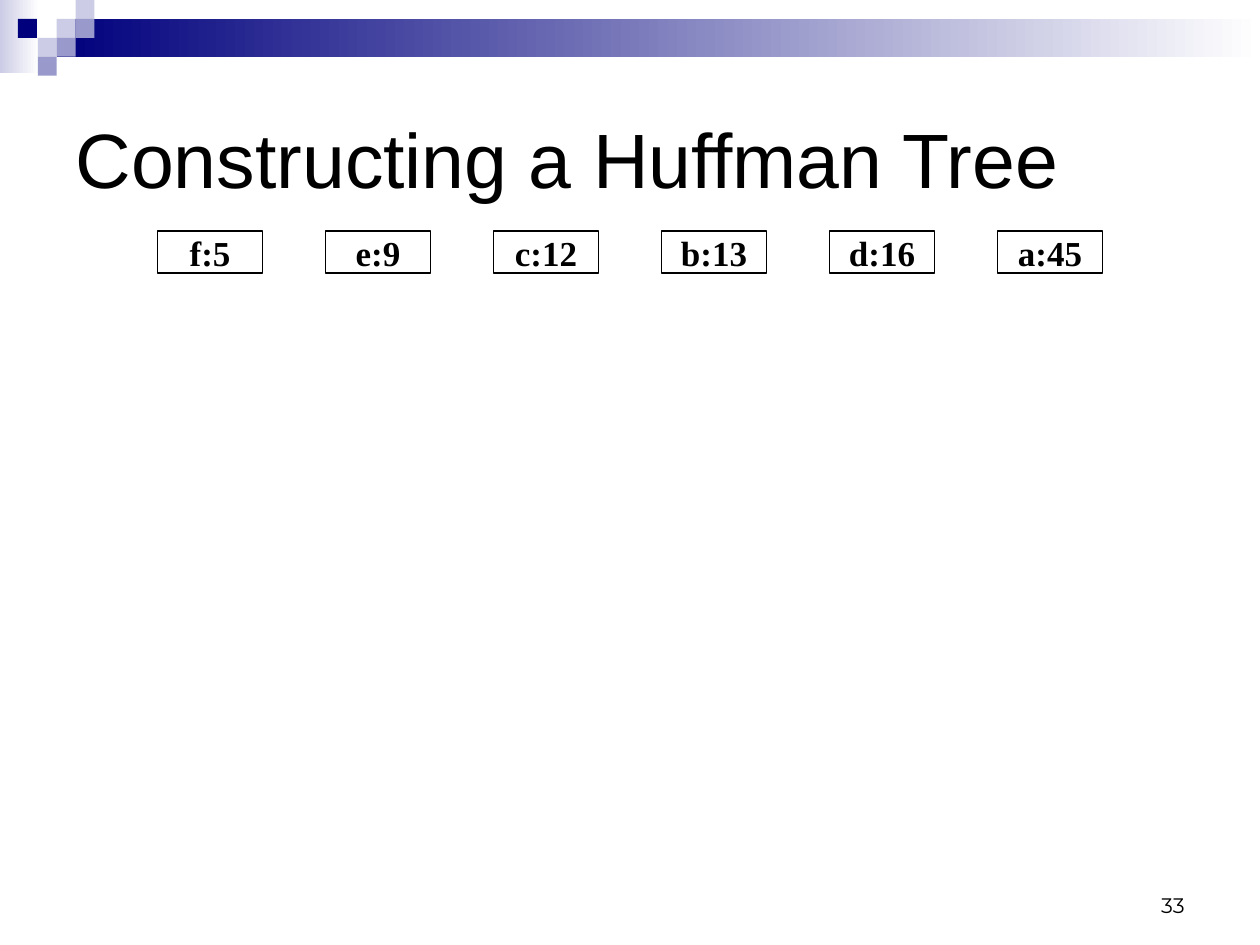
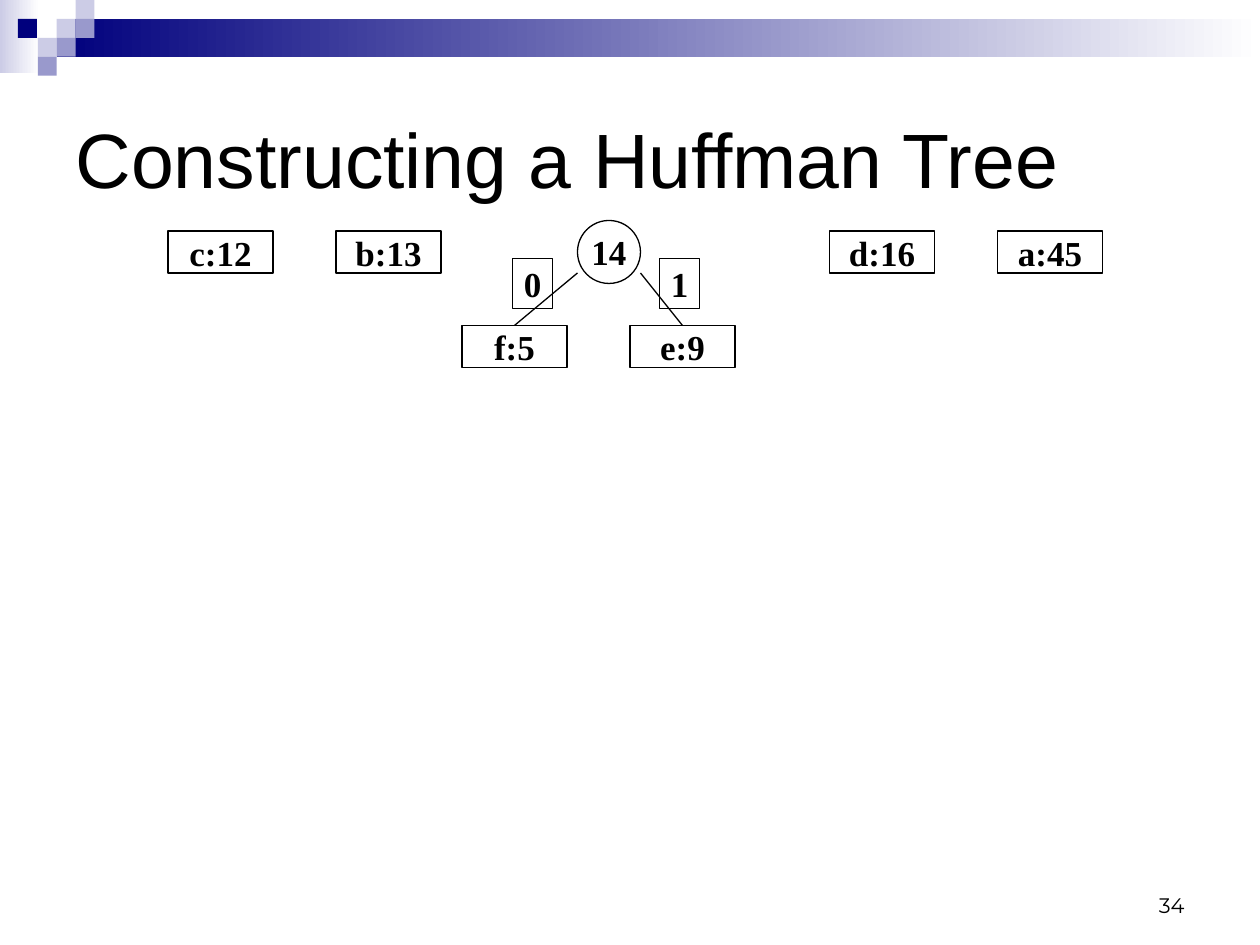
"""Builds two slides that show the first step of constructing a Huffman tree."""
from typing import NamedTuple

from lxml import etree
from pptx import Presentation
from pptx import util as u
from pptx.dml.color import RGBColor
from pptx.enum import shapes, text
from pptx.oxml.ns import qn

WIDTH, HEIGHT = u.Inches(10), u.Inches(7.5)
GRID = WIDTH / 120
BAND = u.Inches(0.15)
RECT, OVAL = shapes.MSO_SHAPE.RECTANGLE, shapes.MSO_SHAPE.OVAL
BLACK, WHITE, NAVY, LILAC, VIOLET = "000000", "FFFFFF", "00007D", "CCCCE6", "9999CC"
TITLE = "Constructing a Huffman Tree"
LEAF_TOP, CHILD_TOP = 22, 31


class Tile(NamedTuple):
    """A band rectangle in band units, plain or fading to white."""
    col: float
    row: float
    cols: float
    rows: float
    color: str
    fades: bool = False


class Node(NamedTuple):
    """A labelled outline placed in grid units."""
    label: str
    col: float
    row: float = LEAF_TOP
    cols: float = 10
    rows: float = 4
    kind: shapes.MSO_SHAPE = RECT


class Edge(NamedTuple):
    """A line from a child up to its parent, in grid units."""
    col: float
    row: float
    end_col: float
    end_row: float


class Page(NamedTuple):
    """The contents of one slide."""
    number: int
    leaves: list[Node]
    tree: list[Node]
    edges: list[Edge]


TILES = [
    Tile(0, 0, 2.07, 3.87, LILAC, True),
    Tile(3, 1, 63.67, 2, NAVY, True),
    Tile(3, 1, 1, 1, LILAC),
    Tile(4, 0, 1, 1, LILAC),
    Tile(4, 1, 1, 1, VIOLET),
    Tile(2, 2, 1, 1, LILAC),
    Tile(0.95, 1, 1, 1, NAVY),
    Tile(3, 2, 1, 1, VIOLET),
    Tile(2, 3, 1, 1, VIOLET),
]


def leaf_row(labels: list[str], col: float, row: float = LEAF_TOP) -> list[Node]:
    """Spaces leaves evenly from a first column."""
    return [Node(label, col + 16 * i, row) for i, label in enumerate(labels)]


PAGES = [
    Page(33, leaf_row(["f:5", "e:9", "c:12", "b:13", "d:16", "a:45"], 15), [], []),
    Page(
        34,
        leaf_row(["c:12", "b:13"], 16) + leaf_row(["d:16", "a:45"], 79),
        leaf_row(["f:5", "e:9"], 44, CHILD_TOP) + [
            Node("14", 55, 21, 6, 6, OVAL),
            Node("0", 48.8, 24.6, 3.84, 4.8),
            Node("1", 62.8, 24.6, 3.84, 4.8),
        ],
        [Edge(49, CHILD_TOP, 55, 26), Edge(65, CHILD_TOP, 61, 26)],
    ),
]


def rgb(color: str) -> RGBColor:
    """Turns a hex string into a colour."""
    return RGBColor.from_string(color)


def scaled(unit: float, *lengths: float) -> list[int]:
    """Turns grid lengths into slide lengths."""
    return [round(unit * length) for length in lengths]


def format_text(tf, size: float, font: str, align, bold: bool = False) -> None:
    """Aligns the first paragraph and sets the font of its runs."""
    p = tf.paragraphs[0]
    p.alignment = align
    for r in p.runs:
        r.font.size, r.font.name, r.font.bold = u.Pt(size), font, bold
        r.font.color.rgb = rgb(BLACK)


def add_tile(slide, tile: Tile):
    """Draws one rectangle of the top band."""
    sp = slide.shapes.add_shape(RECT, *scaled(BAND, *tile[:4]))
    sp.shadow.inherit = False
    sp.line.fill.background()
    if tile.fades:
        sp.fill.gradient()
        sp.fill.gradient_angle = 0
        for stop, color in zip(sp.fill.gradient_stops, (tile.color, WHITE)):
            stop.color.rgb = rgb(color)
    else:
        sp.fill.solid()
        sp.fill.fore_color.rgb = rgb(tile.color)
    return sp


def move_to_master(prs, drawn: list) -> None:
    """Places shapes behind everything else on the slide master."""
    tree = prs.slide_master.shapes.element
    for i, sp in enumerate(drawn):
        tree.insert(2 + i, sp.element)


def draw_outline(sp) -> None:
    """Gives a shape or line the thin black stroke."""
    sp.line.color.rgb = rgb(BLACK)
    sp.line.width = u.Pt(0.75)


def add_node(parent, node: Node) -> None:
    """Draws a labelled node without fill."""
    sp = parent.shapes.add_shape(
        node.kind, *scaled(GRID, node.col, node.row, node.cols, node.rows))
    sp.shadow.inherit = False
    sp.fill.background()
    draw_outline(sp)
    tf = sp.text_frame
    tf.text = node.label
    tf.word_wrap = False
    tf.vertical_anchor = text.MSO_ANCHOR.MIDDLE
    format_text(tf, 20, "Times New Roman", text.PP_ALIGN.CENTER, True)


def add_edge(parent, edge: Edge) -> None:
    """Draws a straight tree edge."""
    line = parent.shapes.add_connector(
        shapes.MSO_CONNECTOR.STRAIGHT, *scaled(GRID, *edge))
    draw_outline(line)
    etree.SubElement(line.element.spPr, qn("a:effectLst"))


def add_number(slide, number: int) -> None:
    """Writes the slide number at the bottom right."""
    tf = slide.shapes.add_textbox(*scaled(GRID, 86, 82, 28, 6)).text_frame
    tf.text = str(number)
    tf.word_wrap = True
    tf.vertical_anchor = text.MSO_ANCHOR.BOTTOM
    format_text(tf, 12, "Montserrat", text.PP_ALIGN.RIGHT)


def add_page(prs, layout, page: Page):
    """Adds a slide with its title, number, leaves and tree."""
    slide = prs.slides.add_slide(layout)
    title = slide.shapes.title
    title.left, title.top, title.width, title.height = scaled(GRID, 6, 6, 108, 18)
    title.text_frame.text = TITLE
    title.text_frame.vertical_anchor = text.MSO_ANCHOR.MIDDLE
    format_text(title.text_frame, 44, "Arial", text.PP_ALIGN.LEFT)
    add_number(slide, page.number)
    for leaf in page.leaves:
        add_node(slide, leaf)
    if page.tree:
        group = slide.shapes.add_group_shape()
        for edge in page.edges:
            add_edge(group, edge)
        for node in page.tree:
            add_node(group, node)
    return slide


def main() -> None:
    """Builds and saves the presentation."""
    prs = Presentation()
    prs.slide_width, prs.slide_height = WIDTH, HEIGHT
    layout = prs.slide_layouts.get_by_name("Title Only")
    slides = [add_page(prs, layout, page) for page in PAGES]
    move_to_master(prs, [add_tile(slides[0], tile) for tile in TILES])
    prs.save("out.pptx")


if __name__ == "__main__":
    main()
